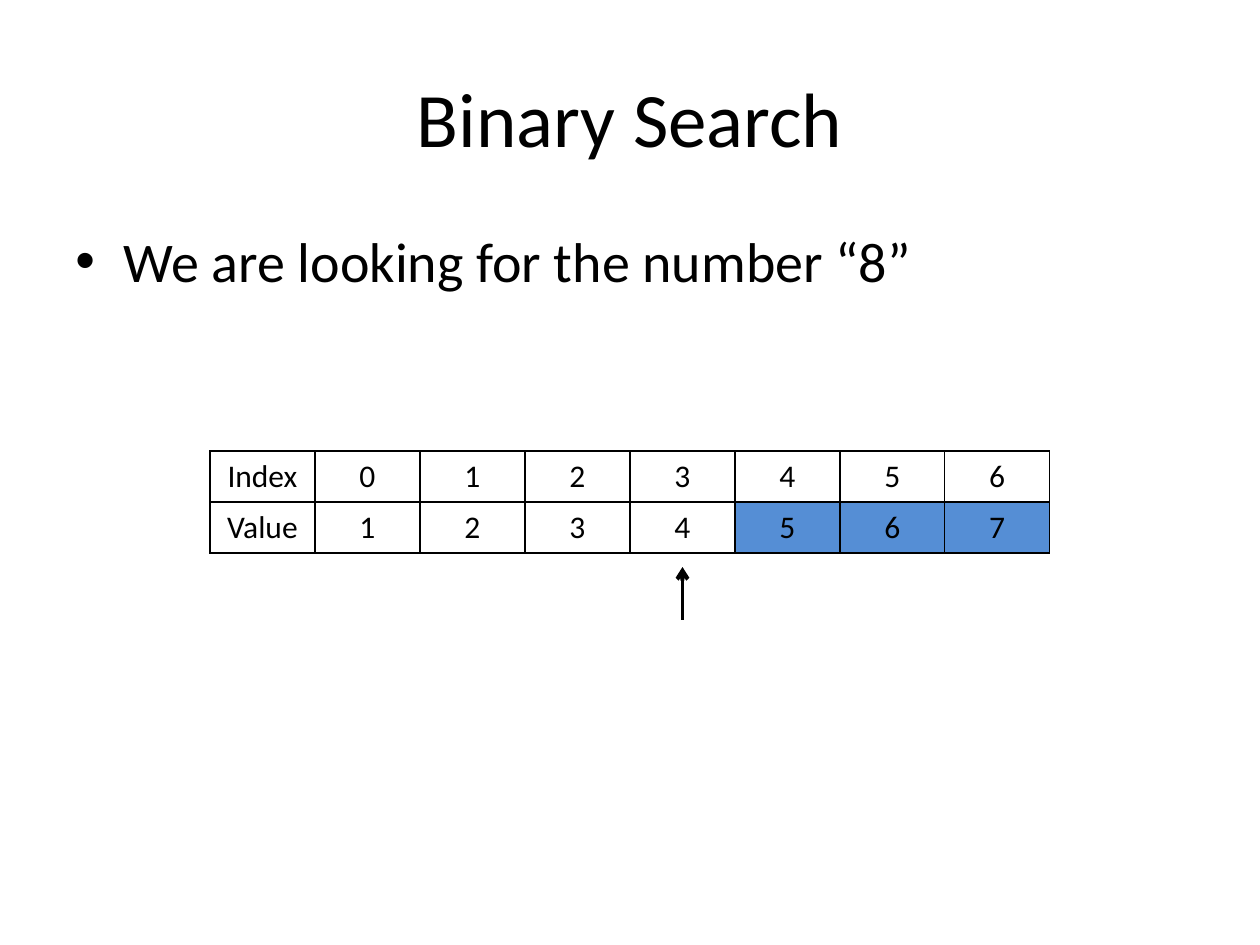
from lxml import etree
from pptx import Presentation
from pptx.dml.color import RGBColor
from pptx.enum.shapes import MSO_CONNECTOR
from pptx.enum.text import MSO_ANCHOR, PP_ALIGN
from pptx.oxml import parse_xml
from pptx.oxml.ns import qn
from pptx.util import Inches, Pt

BLACK = RGBColor(0x00, 0x00, 0x00)
BLUE = RGBColor(0x55, 0x8E, 0xD5)
CENTER, LEFT = PP_ALIGN.CENTER, PP_ALIGN.LEFT
MIDDLE = MSO_ANCHOR.MIDDLE
STRAIGHT = MSO_CONNECTOR.STRAIGHT
NS = "http://schemas.openxmlformats.org/drawingml/2006/main"


def write(frame, text, size=18, align=CENTER):
    frame.word_wrap = True
    para = frame.paragraphs[0]
    para.alignment = align
    run = para.add_run()
    run.text = text
    run.font.name = "Calibri"
    run.font.size = Pt(size)
    run.font.color.rgb = BLACK
    return para


def border(cell):
    props = cell._tc.get_or_add_tcPr()
    for i, side in enumerate(("lnL", "lnR", "lnT", "lnB")):
        props.insert(i, parse_xml(
            f'<a:{side} xmlns:a="{NS}" w="{Pt(1)}"><a:solidFill>'
            f'<a:srgbClr val="{BLACK}"/></a:solidFill></a:{side}>'))


deck = Presentation()
deck.slide_width, deck.slide_height = Inches(10), Inches(7.5)
wide, high = deck.slide_width, deck.slide_height
slide = deck.slides.add_slide(deck.slide_layouts[5])
shapes = slide.shapes
edge = wide // 20

# Title and bullet
title = shapes.title
title.left, title.top = edge, Inches(0.3)
title.width, title.height = wide - 2 * edge, high // 6
title.text_frame.vertical_anchor = MIDDLE
write(title.text_frame, "Binary Search", size=44)

body = shapes.add_textbox(edge, Inches(1.75), wide - 2 * edge, Inches(4.95))
para = write(body.text_frame, "We are looking for the number “8”",
             size=32, align=LEFT)
para.space_before = Pt(6.4)
props = para._p.get_or_add_pPr()
props.set("marL", str(Inches(0.38)))
props.set("indent", str(-Inches(0.38)))
etree.SubElement(props, qn("a:buFont")).set("typeface", "Arial")
etree.SubElement(props, qn("a:buChar")).set("char", "•")

# Array table: indexes above values, the part still to search in blue
rows = [["Index", *range(7)], ["Value", *range(1, 8)]]
mid = 3
col, row = wide // 12, Inches(0.405)
left, top = 2 * col, Inches(3.58)
table = shapes.add_table(2, 8, left, top, 8 * col, 2 * row).table
table.first_row = table.horz_banding = False
for r, values in enumerate(rows):
    table.rows[r].height = row
    for c, value in enumerate(values):
        table.columns[c].width = col
        cell = table.cell(r, c)
        write(cell.text_frame, str(value))
        if r == 1 and c > mid + 1:
            cell.fill.solid()
            cell.fill.fore_color.rgb = BLUE
        else:
            cell.fill.background()
        border(cell)

# Arrow under the middle index
x = left + int((mid + 1.5) * col)
arrow = shapes.add_connector(STRAIGHT, x, Inches(4.92), x, Inches(4.5))
arrow.line.color.rgb = BLACK
arrow.line.width = Pt(2.25)
etree.SubElement(arrow.line._get_or_add_ln(), qn("a:tailEnd")).set("type", "arrow")
etree.SubElement(arrow._element.spPr, qn("a:effectLst"))

deck.save("out.pptx")
